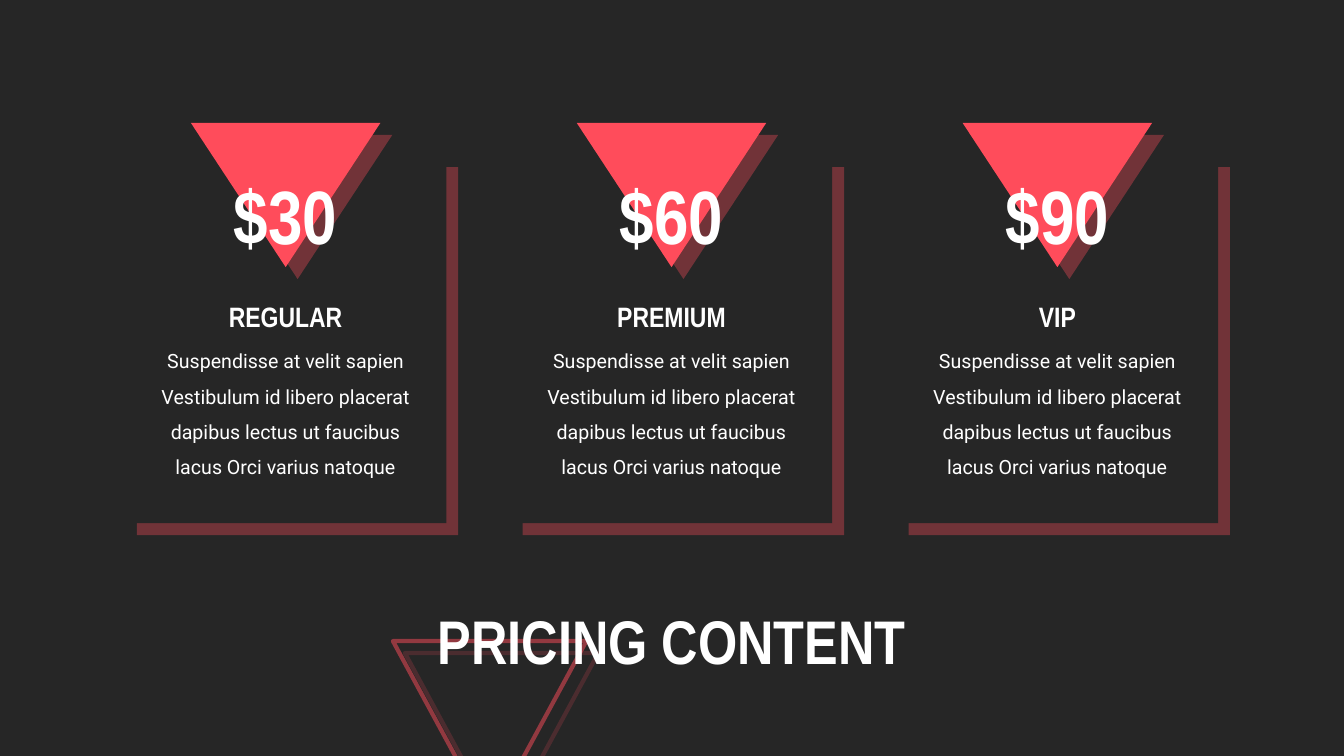
from lxml import etree
from pptx import Presentation
from pptx import util as u
from pptx.dml.color import RGBColor
from pptx.enum import shapes, text
from pptx.oxml import parse_xml
from pptx.oxml.ns import nsdecls, qn

DARK = RGBColor(0x26, 0x26, 0x26)
CORAL = RGBColor(0xFF, 0x4C, 0x5B)
WHITE = RGBColor(0xFF, 0xFF, 0xFF)

HEADING_FONT = "Arial Narrow"
BODY_FONT = "Roboto"
DESCRIPTION = (
    "Suspendisse at velit sapien Vestibulum id libero placerat "
    "dapibus lectus ut faucibus lacus Orci varius natoque"
)
PLANS = [("$30", "REGULAR"), ("$60", "PREMIUM"), ("$90", "VIP")]
CARD_LEFT, CARD_PITCH, CARD_WIDTH = 1.24, 3.83, 3.19


class PricingSlide:
    """Holds the style and the current slide."""

    def __init__(self, deck):
        self.page = deck.slides.add_slide(deck.slide_layouts[6])
        fill = self.page.background.fill
        fill.solid()
        fill.fore_color.rgb = DARK

    def shape(self, kind, left, top, width, height, fill=None, rotation=0):
        """Add a preset shape with a hard coral shadow to the lower right."""
        box = self.page.shapes.add_shape(
            kind, *map(u.Inches, (left, top, width, height)))
        box.rotation = rotation
        if fill is None:
            box.fill.background()
        else:
            box.fill.solid()
            box.fill.fore_color.rgb = fill
        box.line.fill.background()
        box.shadow.inherit = False
        effects = box._element.spPr.find(qn("a:effectLst"))
        effects.append(parse_xml(
            f'<a:outerShdw {nsdecls("a")} blurRad="0" dist="{u.Pt(12.1)}" '
            f'dir="2700000" algn="tl" rotWithShape="0"><a:srgbClr val="{CORAL}">'
            '<a:alpha val="35000"/></a:srgbClr></a:outerShdw>'))
        return box

    def triangle(self, left, top, width, height, fill=None):
        """Add a triangle that points down."""
        return self.shape(shapes.MSO_SHAPE.ISOSCELES_TRIANGLE,
                          left, top, width, height, fill, rotation=180)

    def outline(self, box, color, points, alpha):
        """Give a shape a see-through outline."""
        box.line.color.rgb = color
        box.line.width = u.Pt(points)
        tint = box.line._ln.find(".//" + qn("a:srgbClr"))
        etree.SubElement(tint, qn("a:alpha")).set("val", str(alpha * 1000))

    def label(self, wording, left, top, width, height, size,
              font=HEADING_FONT, bold=True, spacing=None,
              anchor=text.MSO_ANCHOR.TOP):
        """Add a centred white text box."""
        box = self.page.shapes.add_textbox(
            *map(u.Inches, (left, top, width, height)))
        frame = box.text_frame
        frame.word_wrap = True
        frame.vertical_anchor = anchor
        para = frame.paragraphs[0]
        para.alignment = text.PP_ALIGN.CENTER
        para.line_spacing = spacing
        span = para.add_run()
        span.text = wording
        span.font.color.rgb = WHITE
        style = {"name": font, "size": u.Pt(size), "bold": bold}
        for name, value in style.items():
            setattr(span.font, name, value)

    def card(self, left, price, plan):
        """Add one pricing card, with its parts centred on the panel."""
        def centred(width):
            return left + (CARD_WIDTH - width) / 2

        self.shape(shapes.MSO_SHAPE.RECTANGLE,
                   left, 1.54, CARD_WIDTH, 3.65, DARK)
        self.triangle(centred(1.88), 1.22, 1.88, 1.43, CORAL)
        self.label(price, centred(1.67), 1.63, 1.67, 1, 54)
        self.label(plan, centred(1.88), 2.92, 1.88, 0.44, 20)
        self.label(DESCRIPTION, centred(2.81), 3.3, 2.81, 1.5, 14,
                   font=BODY_FONT, bold=False, spacing=1.5)


def main():
    deck = Presentation()
    deck.slide_width, deck.slide_height = u.Inches(13.34), u.Inches(7.5)
    slide = PricingSlide(deck)

    # Title over an outlined triangle
    ornament = slide.triangle(3.9, 6.36, 1.92, 1.77)
    slide.outline(ornament, CORAL, 3, 50)
    slide.label("PRICING CONTENT", 3.27, 5.9, 6.8, 0.98, 44,
                spacing=0.9, anchor=text.MSO_ANCHOR.MIDDLE)

    # Pricing cards
    for index, (price, plan) in enumerate(PLANS):
        slide.card(CARD_LEFT + index * CARD_PITCH, price, plan)

    deck.save("out.pptx")


if __name__ == "__main__":
    main()
